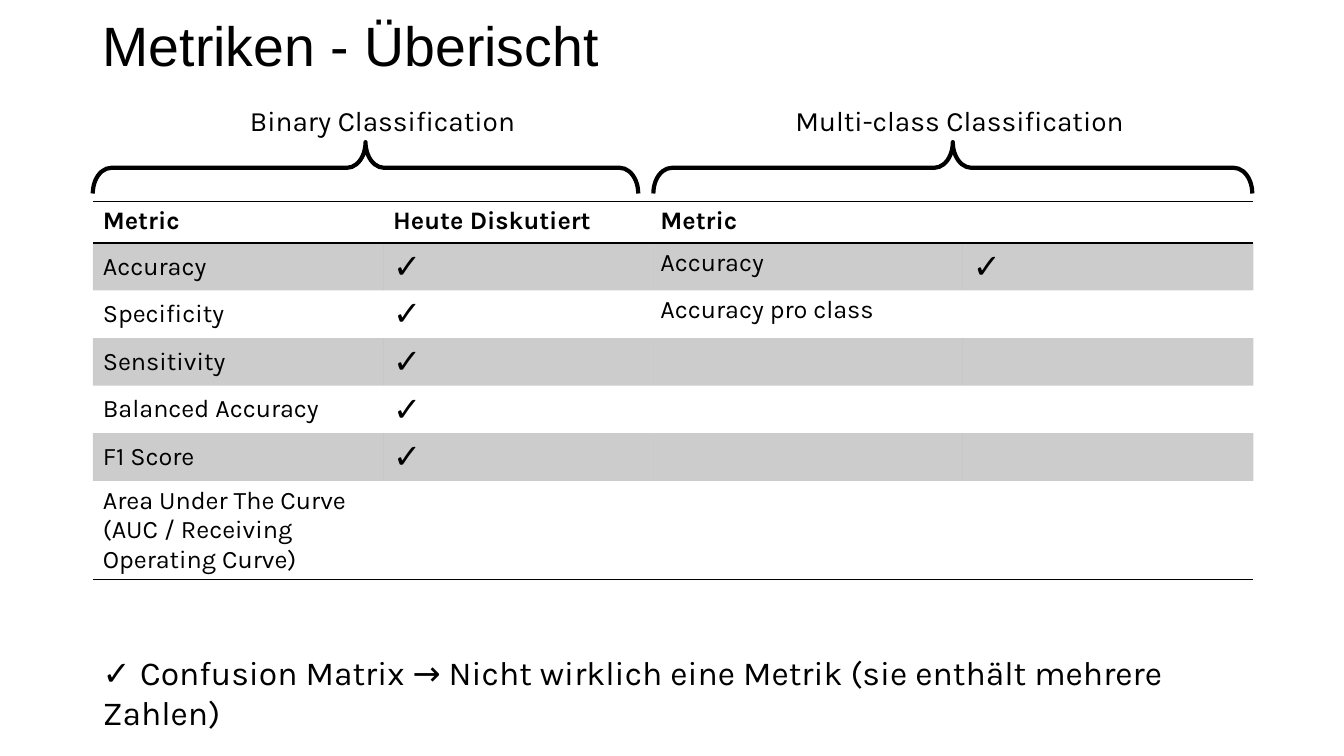
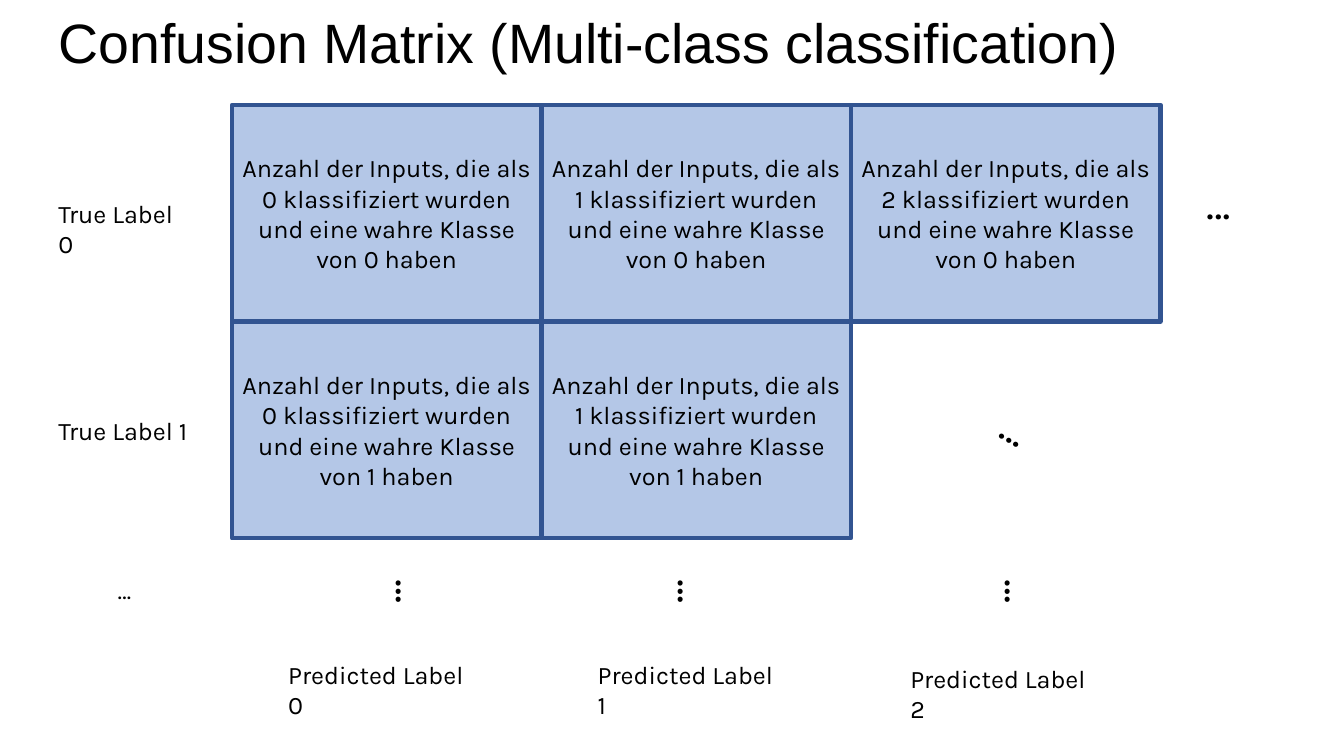
"""Build two slides on classification metrics and the confusion matrix."""
from dataclasses import dataclass
from typing import NamedTuple, Optional

from lxml import etree
from pptx import Presentation
from pptx import presentation as prs
from pptx import slide as sld
from pptx import table as tbl
from pptx.dml import color
from pptx.enum import shapes, text
from pptx.oxml import ns
from pptx.text import text as txt
from pptx.util import Inches, Pt


@dataclass(frozen=True)
class Theme:
    ink: color.RGBColor = color.RGBColor(0, 0, 0)
    tile: color.RGBColor = color.RGBColor(0xB4, 0xC7, 0xE7)
    tile_edge: color.RGBColor = color.RGBColor(0x32, 0x54, 0x91)
    title_font: str = "Arial"
    body_font: str = "Karla"
    title_size: float = 39.6
    dots_size: float = 32
    large_size: float = 24
    heading_size: float = 20
    body_size: float = 18
    rule_width: float = 1
    outline_width: float = 3
    band_alpha: int = 20000


class Area(NamedTuple):
    left: float
    top: float
    width: float
    height: float


class Span(NamedTuple):
    words: str
    size: float
    font: str
    bold: bool = False


class Label(NamedTuple):
    area: Area
    spans: list[Span]
    rotation: float = 0
    align: text.PP_ALIGN = text.PP_ALIGN.LEFT


class Brace(NamedTuple):
    left: float
    width: float


THEME = Theme()
CHECK = "✓"
DOTS = "…"
NO_STYLE = "{2D5ABB26-0587-4C30-8999-92F81FD0307C}"

COLUMN_WIDTHS = [2.88, 2.65, 3.1, 2.88]
ROW_HEIGHT = 0.41
METRICS = [
    ["Metric", "Heute Diskutiert", "Metric", ""],
    ["Accuracy", CHECK, "Accuracy", CHECK],
    ["Specificity", CHECK, "Accuracy pro class", ""],
    ["Sensitivity", CHECK, "", ""],
    ["Balanced Accuracy", CHECK, "", ""],
    ["F1 Score", CHECK, "", ""],
    ["Area Under The Curve (AUC / Receiving Operating Curve)", "", "", ""],
]
BRACES = [Brace(0.92, 5.41), Brace(6.48, 5.94)]
BRACE_TOP, BRACE_DEPTH = 1.41, 0.51

TILE = Area(2.3, 1.04, 3.07, 2.15)
TILES_PER_ROW = [3, 2]


def body(words: str, size: float = THEME.body_size) -> Span:
    """Return a span in the body font."""
    return Span(words, size, THEME.body_font)


def lengths(area: Area) -> list[Inches]:
    """Convert an area to slide lengths."""
    return [Inches(value) for value in area]


def add_spans(para: txt._Paragraph, spans: list[Span]) -> None:
    """Add spans to a paragraph as runs."""
    for span in spans:
        run = para.add_run()
        run.text = span.words
        run.font.size = Pt(span.size)
        run.font.name = span.font
        run.font.bold = span.bold
        run.font.color.rgb = THEME.ink


def add_page(deck: prs.Presentation, title: str, area: Area) -> sld.Slide:
    """Add a page with a formatted title."""
    page = deck.slides.add_slide(deck.slide_layouts[5])
    box = page.shapes.title
    box.left, box.top, box.width, box.height = lengths(area)
    frame = box.text_frame
    frame.word_wrap = True
    frame.auto_size = text.MSO_AUTO_SIZE.NONE
    frame.vertical_anchor = text.MSO_ANCHOR.MIDDLE
    para = frame.paragraphs[0]
    para.alignment = text.PP_ALIGN.LEFT
    para.line_spacing = 0.9
    add_spans(para, [Span(title, THEME.title_size, THEME.title_font)])
    return page


def add_label(page: sld.Slide, label: Label) -> None:
    """Add a wrapped text box."""
    box = page.shapes.add_textbox(*lengths(label.area))
    box.rotation = label.rotation
    box.text_frame.word_wrap = True
    para = box.text_frame.paragraphs[0]
    para.alignment = label.align
    add_spans(para, label.spans)


def add_outline(page: sld.Slide, kind: shapes.MSO_SHAPE, area: Area,
                edge: color.RGBColor, fill: Optional[color.RGBColor] = None):
    """Add an outlined preset shape without shadow."""
    shape = page.shapes.add_shape(kind, *lengths(area))
    shape.shadow.inherit = False
    if fill is None:
        shape.fill.background()
    else:
        shape.fill.solid()
        shape.fill.fore_color.rgb = fill
    shape.line.color.rgb = edge
    shape.line.width = Pt(THEME.outline_width)
    return shape


def add_brace(page: sld.Slide, brace: Brace) -> None:
    """Add a brace that points upward over its columns."""
    center_x = brace.left + brace.width / 2
    center_y = BRACE_TOP + BRACE_DEPTH / 2
    area = Area(center_x - BRACE_DEPTH / 2, center_y - brace.width / 2,
                BRACE_DEPTH, brace.width)
    shape = add_outline(page, shapes.MSO_SHAPE.LEFT_BRACE, area, THEME.ink)
    shape.adjustments[0] = 0.36
    shape.adjustments[1] = 0.5
    shape.rotation = 90


def add_rule(cell: tbl._Cell, side: str) -> None:
    """Draw a rule on one side of a cell."""
    line = etree.SubElement(cell._tc.get_or_add_tcPr(), ns.qn(f"a:{side}"),
                            w=str(Pt(THEME.rule_width)))
    fill = etree.SubElement(line, ns.qn("a:solidFill"))
    etree.SubElement(fill, ns.qn("a:srgbClr"), val=str(THEME.ink))


def fill_cell(cell: tbl._Cell, banded: bool) -> None:
    """Give a cell a translucent band or no fill."""
    if not banded:
        cell.fill.background()
        return
    cell.fill.solid()
    cell.fill.fore_color.rgb = THEME.ink
    tint = cell._tc.tcPr.find(".//" + ns.qn("a:srgbClr"))
    etree.SubElement(tint, ns.qn("a:alpha"), val=str(THEME.band_alpha))


def add_metrics_table(page: sld.Slide) -> None:
    """Add the table of metrics."""
    last = len(METRICS) - 1
    area = Area(0.92, 2, sum(COLUMN_WIDTHS), ROW_HEIGHT * len(METRICS))
    table = page.shapes.add_table(len(METRICS), len(COLUMN_WIDTHS),
                                  *lengths(area)).table
    table.first_row = table.horz_banding = False
    table._tbl.tblPr.find(ns.qn("a:tableStyleId")).text = NO_STYLE
    for column, width in zip(table.columns, COLUMN_WIDTHS):
        column.width = Inches(width)
    for row, entries in enumerate(METRICS):
        table.rows[row].height = Inches(ROW_HEIGHT)
        for column, words in enumerate(entries):
            cell = table.cell(row, column)
            if row == 0:
                add_rule(cell, "lnT")
            if row in (0, last):
                add_rule(cell, "lnB")
            fill_cell(cell, row % 2 == 1)
            if row and column == 0:
                cell.vertical_anchor = text.MSO_ANCHOR.MIDDLE
            if words == CHECK:
                span = Span(words, THEME.large_size, THEME.title_font)
            else:
                span = Span(words, THEME.body_size, THEME.body_font, row == 0)
            if words:
                add_spans(cell.text_frame.paragraphs[0], [span])


def add_tile(page: sld.Slide, truth: int, predicted: int) -> None:
    """Add one tile of the confusion matrix."""
    area = TILE._replace(left=TILE.left + predicted * TILE.width,
                         top=TILE.top + truth * TILE.height)
    shape = add_outline(page, shapes.MSO_SHAPE.RECTANGLE, area,
                        THEME.tile_edge, THEME.tile)
    frame = shape.text_frame
    frame.word_wrap = True
    frame.vertical_anchor = text.MSO_ANCHOR.MIDDLE
    para = frame.paragraphs[0]
    para.alignment = text.PP_ALIGN.CENTER
    words = (f"Anzahl der Inputs, die als {predicted} klassifiziert wurden "
             f"und eine wahre Klasse von {truth} haben")
    add_spans(para, [body(words)])


def build_metrics(deck: prs.Presentation) -> None:
    """Build the overview of metrics."""
    page = add_page(deck, "Metriken - Überischt", Area(0.92, 0.13, 11.5, 0.7))
    add_metrics_table(page)
    note = [
        Span(f"{CHECK} ", THEME.large_size, THEME.title_font),
        body("Confusion Matrix → Nicht wirklich eine Metrik "
             "(sie enthält mehrere Zahlen)", THEME.large_size),
    ]
    add_label(page, Label(Area(0.92, 6.42, 11.69, 0.5), note))
    for left, words in [(2.38, "Binary Classification"),
                        (7.79, "Multi-class Classification")]:
        add_label(page, Label(Area(left, 0.98, 3.49, 0.44),
                              [body(words, THEME.heading_size)]))
    for brace in BRACES:
        add_brace(page, brace)


def build_matrix(deck: prs.Presentation) -> None:
    """Build the multi-class confusion matrix."""
    page = add_page(deck, "Confusion Matrix (Multi-class classification)",
                    Area(0.48, 0.08, 12.74, 0.75))
    for truth, count in enumerate(TILES_PER_ROW):
        for predicted in range(count):
            add_tile(page, truth, predicted)
        top = 1.92 + truth * TILE.height
        add_label(page, Label(Area(0.48, top, 1.51, 0.4),
                              [body(f"True Label {truth}")]))
    for predicted, (left, top) in enumerate([(2.76, 6.49), (5.83, 6.49),
                                             (8.93, 6.53)]):
        add_label(page, Label(Area(left, top, 2.07, 0.4),
                              [body(f"Predicted Label {predicted}")]))
    for left, top, rotation in [(9.86, 3.95, 30), (3.84, 5.6, 90),
                                (6.63, 5.6, 90), (9.88, 5.6, 90),
                                (11.87, 1.68, 0)]:
        add_label(page, Label(Area(left, top, 0.54, 0.64),
                              [body(DOTS, THEME.dots_size)], rotation))
    add_label(page, Label(Area(1.04, 5.65, 0.39, 0.4), [body(DOTS)],
                          align=text.PP_ALIGN.CENTER))


def main() -> None:
    """Build and save the deck."""
    deck = Presentation()
    deck.slide_width, deck.slide_height = Inches(13.33), Inches(7.5)
    build_metrics(deck)
    build_matrix(deck)
    deck.save("out.pptx")


if __name__ == "__main__":
    main()
